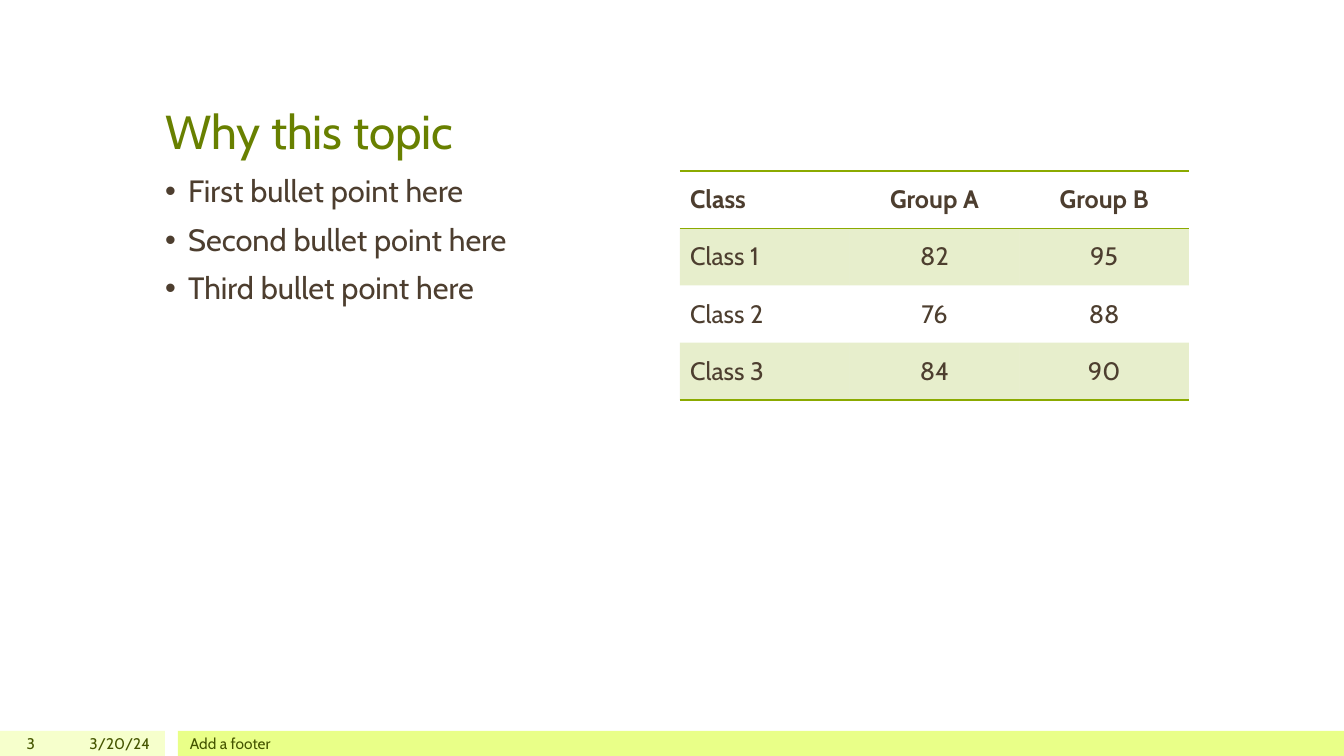
from dataclasses import dataclass

from lxml import etree
from pptx import Presentation
from pptx import util as u
from pptx.dml.color import RGBColor
from pptx.enum import shapes, text
from pptx.oxml.ns import qn

EMU_PER_PX = 12192000 / 1344
PLAIN_TABLE_STYLE = "{2D5ABB26-0587-4C30-8999-92F81FD0307C}"
LEFT, CENTER, RIGHT = text.PP_ALIGN.LEFT, text.PP_ALIGN.CENTER, text.PP_ALIGN.RIGHT
TOP, MIDDLE, BOTTOM = text.MSO_ANCHOR.TOP, text.MSO_ANCHOR.MIDDLE, text.MSO_ANCHOR.BOTTOM


@dataclass(frozen=True)
class Theme:
    font: str = "Cabin"
    title_color: str = "688000"
    body_color: str = "4D3E2F"
    footer_color: str = "455500"
    accent: str = "8BAA00"
    pale_bar: str = "F6FFCC"
    bright_bar: str = "E9FF88"
    title_size: int = 34
    body_size: int = 22
    table_size: int = 18
    footer_size: int = 11


def px(length):
    return u.Emu(round(length * EMU_PER_PX))


class SlideBuilder:
    def __init__(self, presentation, theme):
        self.theme = theme
        self.slide = presentation.slides.add_slide(presentation.slide_layouts[1])

    def place(self, shape, box):
        shape.left, shape.top, shape.width, shape.height = map(px, box)

    def prepare(self, frame, anchor):
        frame.word_wrap = True
        frame.auto_size = text.MSO_AUTO_SIZE.NONE
        frame.vertical_anchor = anchor

    def add_text(self, paragraph, words, size, color, align=LEFT, bold=False):
        paragraph.alignment = align
        run = paragraph.add_run()
        run.text = words
        run.font.name = self.theme.font
        run.font.size = u.Pt(size)
        run.font.bold = bold
        run.font.color.rgb = RGBColor.from_string(color)

    def bar(self, box, color):
        shape = self.slide.shapes.add_shape(shapes.MSO_SHAPE.RECTANGLE, *map(px, box))
        shape.shadow.inherit = False
        shape.fill.solid()
        shape.fill.fore_color.rgb = RGBColor.from_string(color)
        shape.line.fill.background()

    def title(self, box, words):
        shape = self.slide.shapes.title
        self.place(shape, box)
        frame = shape.text_frame
        self.prepare(frame, BOTTOM)
        frame.margin_bottom = px(1)
        self.add_text(frame.paragraphs[0], words, self.theme.title_size, self.theme.title_color)

    def bullets(self, box, items):
        shape = self.slide.placeholders[1]
        self.place(shape, box)
        frame = shape.text_frame
        self.prepare(frame, TOP)
        for number, item in enumerate(items):
            paragraph = frame.add_paragraph() if number else frame.paragraphs[0]
            self.add_text(paragraph, item, self.theme.body_size, self.theme.body_color)
            paragraph.line_spacing = 0.9
            paragraph.space_before = u.Pt(11)
            properties = paragraph._p.get_or_add_pPr()
            properties.set("marL", str(px(23)))
            properties.set("indent", str(px(-23)))
            etree.SubElement(properties, qn("a:buChar"), char="•")

    def footer(self, box, words, align):
        frame = self.slide.shapes.add_textbox(*map(px, box)).text_frame
        self.prepare(frame, MIDDLE)
        self.add_text(frame.paragraphs[0], words, self.theme.footer_size,
                      self.theme.footer_color, align)

    def rule(self, cell, sides):
        """Draw accent borders on the given sides, listed in schema order."""
        properties = cell._tc.get_or_add_tcPr()
        for position, side in enumerate(sides):
            line = etree.Element(qn(f"a:ln{side}"), w=str(u.Pt(1)))
            fill = etree.SubElement(line, qn("a:solidFill"))
            etree.SubElement(fill, qn("a:srgbClr"), val=self.theme.accent)
            properties.insert(position, line)

    def tint(self, cell):
        cell.fill.solid()
        cell.fill.fore_color.rgb = RGBColor.from_string(self.theme.accent)
        color = cell._tc.tcPr.find(f".//{qn('a:srgbClr')}")
        etree.SubElement(color, qn("a:alpha"), val="20000")

    def table(self, box, rows):
        frame = self.slide.shapes.add_table(len(rows), len(rows[0]), *map(px, box))
        table = frame.table
        table._tbl.tblPr.find(qn("a:tableStyleId")).text = PLAIN_TABLE_STYLE
        borders = {0: "TB", len(rows) - 1: "B"}
        for row, values in enumerate(rows):
            for column, value in enumerate(values):
                cell = table.cell(row, column)
                cell.vertical_anchor = MIDDLE
                self.add_text(cell.text_frame.paragraphs[0], value, self.theme.table_size,
                              self.theme.body_color, CENTER if column else LEFT, bold=row == 0)
                if row % 2:
                    self.tint(cell)
                else:
                    cell.fill.background()
                self.rule(cell, borders.get(row, ""))


def main():
    presentation = Presentation()
    presentation.slide_width, presentation.slide_height = px(1344), px(756)
    theme = Theme()
    builder = SlideBuilder(presentation, theme)

    builder.bar((0, 731, 165, 25), theme.pale_bar)
    builder.bar((178, 731, 1166, 25), theme.bright_bar)
    builder.title((155, 30, 1033, 130), "Why this topic")
    builder.bullets((155, 171, 508, 509), [
        "First bullet point here",
        "Second bullet point here",
        "Third bullet point here",
    ])
    builder.footer((0, 731, 45, 25), "3", RIGHT)
    builder.footer((50, 731, 110, 25), "3/20/24", RIGHT)
    builder.footer((180, 731, 1008, 25), "Add a footer", LEFT)
    builder.table((680, 171, 509, 229), [
        ("Class", "Group A", "Group B"),
        ("Class 1", "82", "95"),
        ("Class 2", "76", "88"),
        ("Class 3", "84", "90"),
    ])
    presentation.save("out.pptx")


if __name__ == "__main__":
    main()
